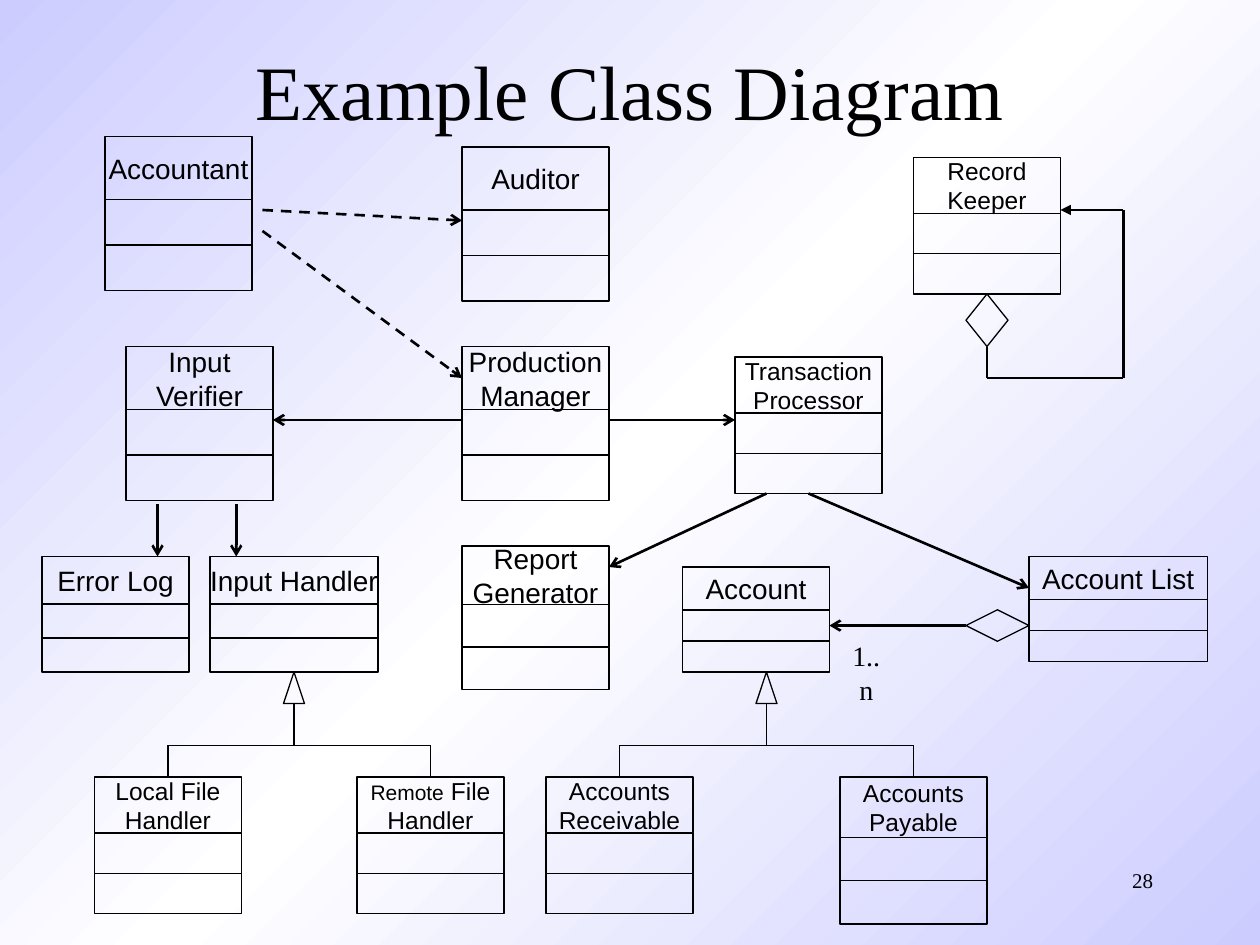
from copy import deepcopy

from lxml.etree import SubElement
from pptx import Presentation
from pptx.dml.color import RGBColor
from pptx.enum.dml import MSO_LINE
from pptx.enum.shapes import MSO_CONNECTOR, MSO_SHAPE
from pptx.enum.text import MSO_ANCHOR, PP_ALIGN
from pptx.oxml.ns import qn
from pptx.util import Pt

COLORS = {"ink": "000000", "edge": "CCCCFF", "center": "FFFFFF"}
SERIF, SANS = "Times New Roman", "Arial"
THIN, THICK = 0.75, 1.5
NAME_SHARE = 0.41

TITLE = "Example Class Diagram"
CLASSES = [
    ("Production\nManager", 264, 198, 84, 88, 16),
    ("Auditor", 264, 84, 84, 88, 16),
    ("Record\nKeeper", 522, 90, 84, 78, 14),
    ("Report\nGenerator", 264, 312, 84, 82, 16),
    ("Transaction\nProcessor", 420, 204, 84, 78, 14),
    ("Account", 390, 324, 84, 60, 16),
    ("Accounts\nPayable", 480, 444, 84, 84, 14),
    ("Accounts\nReceivable", 312, 444, 84, 78, 14),
    ("Input\vVerifier", 72, 198, 84, 88, 16),
    ("Error Log", 24, 318, 84, 66, 16),
    ("Input Handler", 120, 318, 96, 66, 16),
    ("Local File\nHandler", 54, 444, 84, 78, 14),
    ("Remote File\nHandler", 204, 444, 84, 78, 14),
    ("Account List", 588, 318, 102, 60, 16),
    ("Accountant", 60, 78, 84, 88, 16),
]
DEPENDENCIES = [(150, 120, 264, 126), (150, 132, 264, 216)]
ASSOCIATIONS = [
    (348, 240, 420, 240),
    (264, 240, 156, 240),
    (90, 288, 90, 318),
    (135, 288, 135, 318),
    (438, 282, 348, 324),
    (462, 282, 588, 336),
]
INHERITANCE = [
    (168, ["Local File\nHandler", "Remote File\nHandler"]),
    (438, ["Accounts\nReceivable", "Accounts\nPayable"]),
]
PARENT_BOTTOM, TRIANGLE_WIDTH, TRIANGLE_HEIGHT, BRANCH_Y = 384, 12, 18, 426
SELF_LOOP = [(564, 198), (564, 216), (642, 216), (642, 120), (606, 120)]

presentation = Presentation()
presentation.slide_width, presentation.slide_height = Pt(720), Pt(540)
slide = presentation.slides.add_slide(presentation.slide_layouts[5])


def color(name):
    return RGBColor.from_string(COLORS[name])


def format_font(font, size, family):
    font.size, font.name = Pt(size), family
    font.color.rgb = color("ink")


def paint_background():
    fill = slide.background.fill
    fill.gradient()
    fill.gradient_angle = 315
    for stop in fill.gradient_stops:
        stop.color.rgb = color("edge")
    first = slide.element.find(".//" + qn("a:gs"))
    middle = deepcopy(first)
    middle.set("pos", "50000")
    first.addnext(middle)
    fill.gradient_stops[1].color.rgb = color("center")


def add_outline(shapes, kind, left, top, width, height):
    shape = shapes.add_shape(kind, Pt(left), Pt(top), Pt(width), Pt(height))
    shape.shadow.inherit = False
    shape.fill.background()
    shape.line.color.rgb = color("ink")
    shape.line.width = Pt(THIN)
    return shape


def add_line(start, end, width=THICK, arrow=None, dashed=False):
    connector = slide.shapes.add_connector(
        MSO_CONNECTOR.STRAIGHT, *(Pt(value) for value in (*start, *end)))
    connector.line.color.rgb = color("ink")
    connector.line.width = Pt(width)
    if dashed:
        connector.line.dash_style = MSO_LINE.DASH
    properties = connector.element.spPr
    if arrow:
        SubElement(properties.find(qn("a:ln")), qn("a:tailEnd"), type=arrow)
    SubElement(properties, qn("a:effectLst"))
    return connector


def add_text(text, left, top, width, height, size, alignment):
    box = slide.shapes.add_textbox(Pt(left), Pt(top), Pt(width), Pt(height))
    paragraph = box.text_frame.paragraphs[0]
    paragraph.text = text
    paragraph.alignment = alignment
    format_font(paragraph.font, size, SERIF)
    return box


def add_class(name, left, top, width, height, size):
    group = slide.shapes.add_group_shape()
    name_height = height * NAME_SHARE
    row_height = (height - name_height) / 2
    boxes = []
    for row_height in (name_height, row_height, row_height):
        boxes.append(add_outline(group.shapes, MSO_SHAPE.RECTANGLE, left, top, width, row_height))
        top += row_height
    frame = boxes[0].text_frame
    frame.word_wrap = False
    frame.vertical_anchor = MSO_ANCHOR.MIDDLE
    frame.text = name
    for paragraph in frame.paragraphs:
        paragraph.alignment = PP_ALIGN.CENTER
        format_font(paragraph.font, size, SANS)
    return boxes


paint_background()
title = slide.shapes.title
title.left, title.top, title.width, title.height = Pt(54), Pt(6), Pt(612), Pt(90)
title.text_frame.text = TITLE
title.text_frame.vertical_anchor = MSO_ANCHOR.MIDDLE
title_paragraph = title.text_frame.paragraphs[0]
title_paragraph.alignment = PP_ALIGN.CENTER
format_font(title_paragraph.font, 44, SERIF)

classes = {entry[0]: add_class(*entry) for entry in CLASSES}
remote_paragraph = classes["Remote File\nHandler"][0].text_frame.paragraphs[0]
remote_paragraph.runs[0].text = "Remote"
remote_paragraph.runs[0].font.size = Pt(12)
remote_paragraph.add_run().text = " File"

for x1, y1, x2, y2 in DEPENDENCIES:
    add_line((x1, y1), (x2, y2), arrow="arrow", dashed=True)
for x1, y1, x2, y2 in ASSOCIATIONS:
    add_line((x1, y1), (x2, y2), arrow="arrow")

for parent_x, children in INHERITANCE:
    add_outline(slide.shapes, MSO_SHAPE.ISOSCELES_TRIANGLE, parent_x - TRIANGLE_WIDTH / 2,
                PARENT_BOTTOM, TRIANGLE_WIDTH, TRIANGLE_HEIGHT)
    add_line((parent_x, PARENT_BOTTOM + TRIANGLE_HEIGHT), (parent_x, BRANCH_Y), THIN)
    child_centers = []
    for child in children:
        box = classes[child][0]
        center = (box.left + box.width / 2) / Pt(1)
        child_centers.append(center)
        add_line((center, BRANCH_Y), (center, box.top / Pt(1)), THIN).end_connect(box, 0)
    add_line((child_centers[0], BRANCH_Y), (child_centers[1], BRANCH_Y), THIN)

add_outline(slide.shapes, MSO_SHAPE.DIAMOND, 552, 168, 24, 30)
for start, end in zip(SELF_LOOP, SELF_LOOP[1:]):
    add_line(start, end, arrow="triangle" if end == SELF_LOOP[-1] else None)

list_diamond = add_outline(slide.shapes, MSO_SHAPE.DIAMOND, 552, 348.45, 36, 18)
aggregation = add_line((552, 357.45), (474, 357.45), arrow="arrow")
aggregation.begin_connect(list_diamond, 1)
aggregation.end_connect(classes["Account"][1], 3)

multiplicity = add_text("1..n", 476, 361.5, 38, 26.5, 16, PP_ALIGN.CENTER)
multiplicity.text_frame.word_wrap = False
slide_number = add_text("28", 516, 492, 150, 36, 12, PP_ALIGN.RIGHT)
slide_number.text_frame.word_wrap = True

presentation.save("out.pptx")
